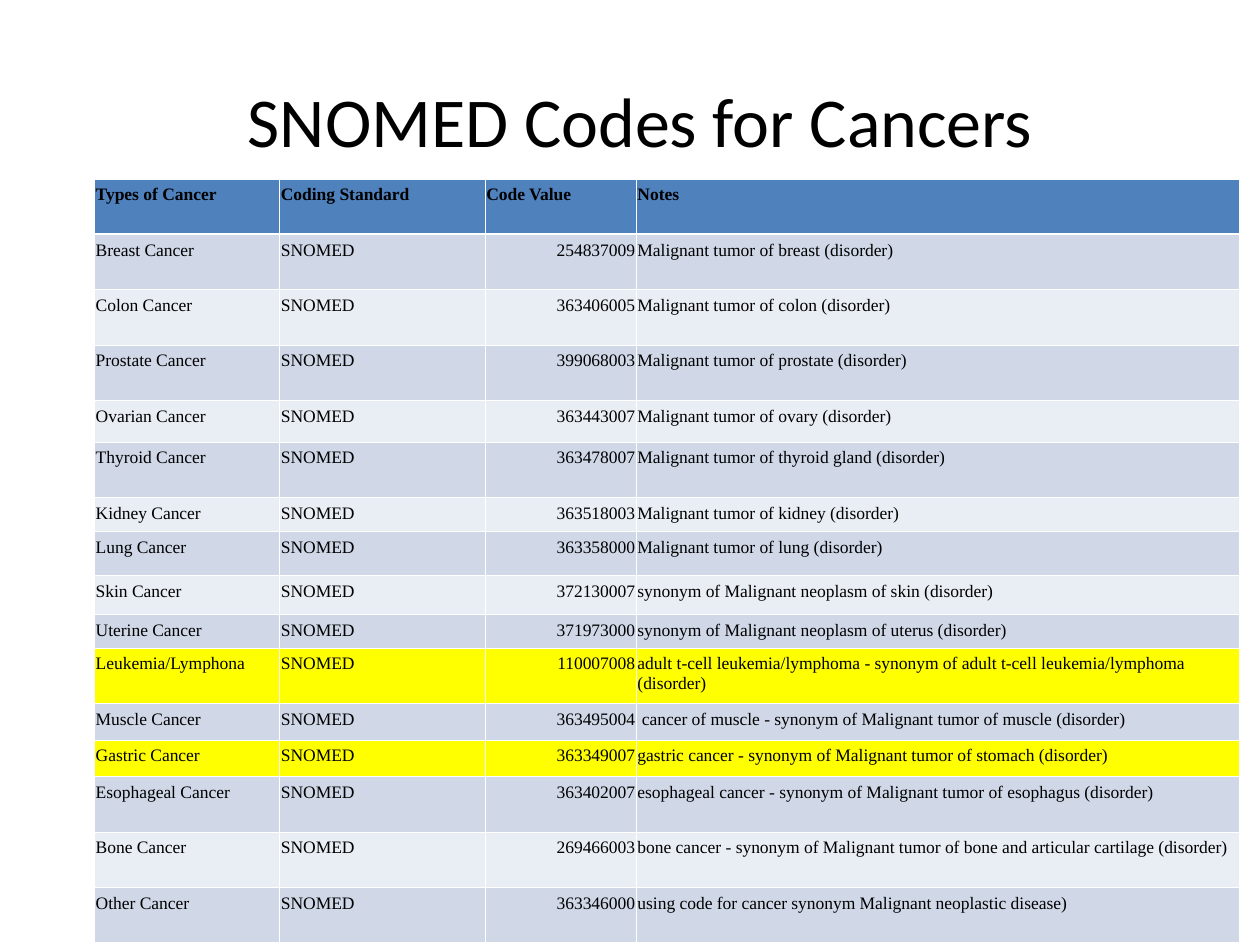
from lxml import etree
from pptx import Presentation, util as u
from pptx.dml.color import RGBColor
from pptx.enum import text
from pptx.oxml.ns import qn

LEFT, RIGHT, CENTER = text.PP_ALIGN.LEFT, text.PP_ALIGN.RIGHT, text.PP_ALIGN.CENTER
HEAD = ("Types of Cancer", "Coding Standard", "Code Value", "Notes")
COLS = (1.47, 1.63, 1.2, 4.79)
TALL = 0.44
# Cancer, code, note, row height
CODES = [
    ("Breast", "254837009", "Malignant tumor of breast (disorder)", TALL),
    ("Colon", "363406005", "Malignant tumor of colon (disorder)", TALL),
    ("Prostate", "399068003", "Malignant tumor of prostate (disorder)", TALL),
    ("Ovarian", "363443007", "Malignant tumor of ovary (disorder)", 0.33),
    ("Thyroid", "363478007", "Malignant tumor of thyroid gland (disorder)", TALL),
    ("Kidney", "363518003", "Malignant tumor of kidney (disorder)", 0.23),
    ("Lung", "363358000", "Malignant tumor of lung (disorder)", 0.35),
    ("Skin", "372130007", "synonym of Malignant neoplasm of skin (disorder)", 0.31),
    ("Uterine", "371973000", "synonym of Malignant neoplasm of uterus (disorder)", 0.26),
    ("Leukemia/Lymphona", "110007008",
     "adult t-cell leukemia/lymphoma - synonym of adult t-cell leukemia/lymphoma (disorder)", TALL),
    ("Muscle", "363495004",
     " cancer of muscle - synonym of Malignant tumor of muscle (disorder)", 0.29),
    ("Gastric", "363349007",
     "gastric cancer - synonym of Malignant tumor of stomach (disorder)", 0.29),
    ("Esophageal", "363402007",
     "esophageal cancer - synonym of Malignant tumor of esophagus (disorder) ", TALL),
    ("Bone", "269466003",
     "bone cancer - synonym of Malignant tumor of bone and articular cartilage (disorder)", TALL),
    ("Other", "363346000",
     "using code for cancer synonym Malignant neoplastic disease)", TALL),
]
MARKED = ("Leukemia/Lymphona", "Gastric")


def color(code):
    return RGBColor.from_string(code)


class Deck:
    ink, edge, top = "000000", "FFFFFF", "4F81BD"
    bands, mark = ("E9EDF4", "D0D8E8"), "FFFF00"
    sans, serif = "Calibri", "Times New Roman"

    def __init__(self):
        self.prs = Presentation()
        self.prs.slide_width, self.prs.slide_height = u.Inches(10), u.Inches(7.5)
        self.slide = self.prs.slides.add_slide(self.prs.slide_layouts[6])

    def label(self, frame, words, face, size, align=LEFT, bold=False):
        para = frame.paragraphs[0]
        para.alignment = align
        run = para.add_run()
        run.text = words
        run.font.name, run.font.size, run.font.bold = face, u.Pt(size), bold
        run.font.color.rgb = color(self.ink)

    def title(self, words, *box):
        frame = self.slide.shapes.add_textbox(*map(u.Inches, box)).text_frame
        frame.word_wrap = True
        frame.vertical_anchor = text.MSO_ANCHOR.MIDDLE
        self.label(frame, words, self.sans, 40, CENTER)

    def border(self, cell, side, width):
        line = etree.SubElement(cell._tc.get_or_add_tcPr(), qn("a:ln" + side),
                                w=str(u.Pt(width)))
        fill = etree.SubElement(line, qn("a:solidFill"))
        etree.SubElement(fill, qn("a:srgbClr"), val=self.edge)

    def cell(self, cell, words, fill, align, bold, over, under):
        cell.margin_left = cell.margin_right = u.Inches(0.01)
        cell.margin_top = cell.margin_bottom = u.Inches(0.05)
        for side, width in zip("LRTB", (0.45, 0.45, over, under)):
            self.border(cell, side, width)
        cell.fill.solid()
        cell.fill.fore_color.rgb = color(fill)
        self.label(cell.text_frame, words, self.serif, 10, align, bold)

    def table(self, left, top, cols, rows):
        """Each row is (texts, fill, height); the first one is the header."""
        high = sum(row[2] for row in rows)
        grid = self.slide.shapes.add_table(
            len(rows), len(cols), *map(u.Inches, (left, top, sum(cols), high))).table
        grid.horz_banding = False
        for col, width in zip(grid.columns, cols):
            col.width = u.Inches(width)
        for r, (words, fill, height) in enumerate(rows):
            grid.rows[r].height = u.Inches(height)
            over, under = 1.47 if r == 1 else 0.45, 1.47 if r == 0 else 0.45
            for c, word in enumerate(words):
                align = RIGHT if r and c == 2 else LEFT
                self.cell(grid.cell(r, c), word, fill, align, r == 0, over, under)


def main():
    deck = Deck()
    deck.title("SNOMED Codes for Cancers", 1.08, 0.72, 8, 0.45)

    # Header, then banded rows with two marked ones
    rows = [(HEAD, deck.top, TALL)]
    for n, (kind, code, note, height) in enumerate(CODES, 1):
        name = kind if "/" in kind else kind + " Cancer"
        fill = deck.mark if kind in MARKED else deck.bands[n % 2]
        rows.append(((name, "SNOMED", code, note), fill, height))
    deck.table(0.75, 1.42, COLS, rows)
    deck.prs.save("out.pptx")


if __name__ == "__main__":
    main()
